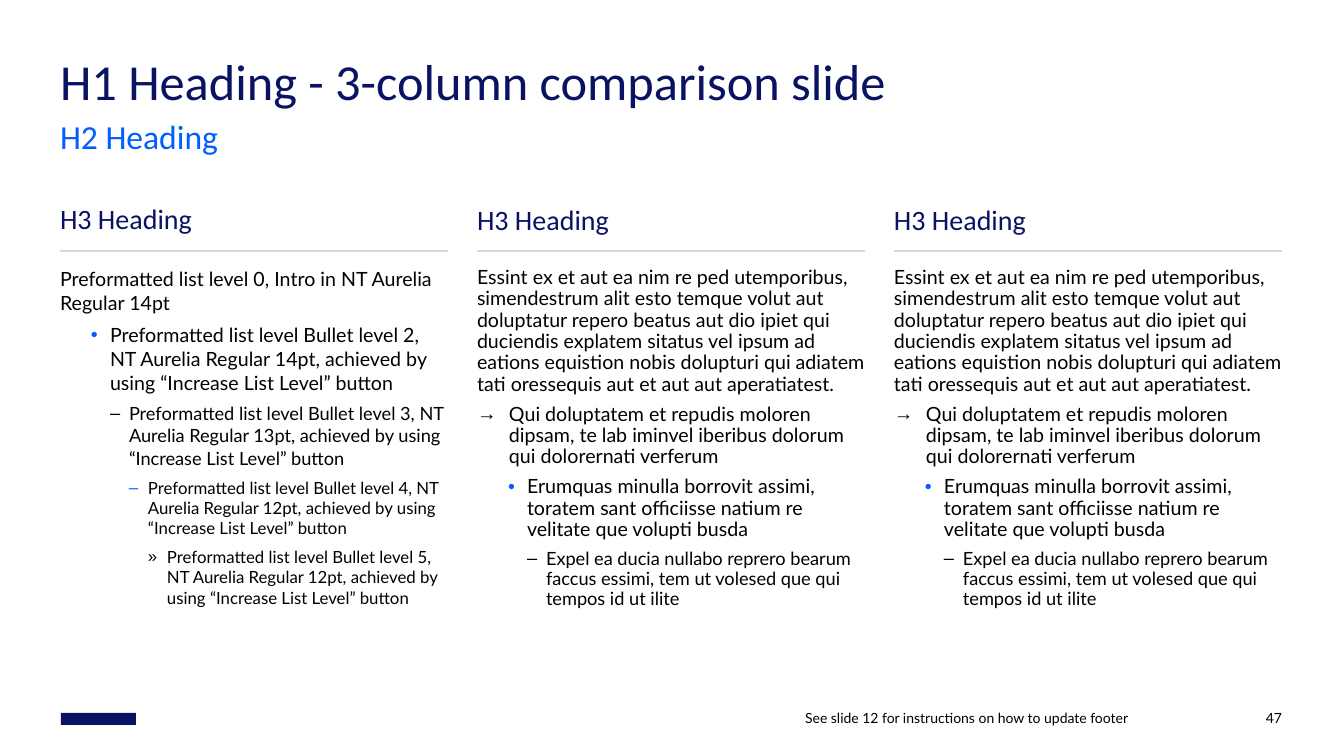
from dataclasses import dataclass

from lxml.etree import SubElement
from pptx import Presentation
from pptx.dml.color import RGBColor
from pptx.enum.shapes import MSO_CONNECTOR, MSO_SHAPE
from pptx.enum.text import MSO_ANCHOR, MSO_AUTO_SIZE, PP_ALIGN
from pptx.oxml.ns import qn
from pptx.util import Emu, Pt


@dataclass(frozen=True)
class Theme:
    navy: RGBColor = RGBColor(0x0A, 0x12, 0x64)
    blue: RGBColor = RGBColor(0x00, 0x5E, 0xFF)
    black: RGBColor = RGBColor(0, 0, 0)
    rule: RGBColor = RGBColor(0xD7, 0xD8, 0xD7)
    heading_font: str = "Calibri"
    body_font: str = "Lato"
    h1: int = 36
    h2: int = 24
    h3: int = 20
    footer: int = 10
    list_sizes: tuple = (14, 14, 14, 13, 12, 12)


THEME = Theme()
EMU_PER_PX = 914400 / 100.8
SLIDE_SIZE = (1344, 756)

# Column grid
MARGIN, COLUMN_WIDTH, COLUMN_PITCH = 60, 388, 417
CONTENT_WIDTH = 2 * COLUMN_PITCH + COLUMN_WIDTH
H3_TOP, RULE_TOP, LIST_TOP = 204, 251, 267

# Per list level: text indent and hanging width in px, bullet, bullet colour
LEVELS = {
    1: (32, 32, "→", None),
    2: (50, 19, "•", THEME.blue),
    3: (69, 19, "–", None),
    4: (88, 19, "–", THEME.blue),
    5: (107, 19, "»", None),
}

LEVEL_GUIDE = [(0, "Preformatted list level 0, Intro in NT Aurelia Regular 14pt")] + [
    (level, f"Preformatted list level Bullet level {level}, NT Aurelia Regular "
            f"{THEME.list_sizes[level]}pt, achieved by using “Increase List Level” button")
    for level in range(2, 6)
]
SAMPLE_TEXT = [
    (0, "Essint ex et aut ea nim re ped utemporibus, simendestrum alit esto temque "
        "volut aut doluptatur repero beatus aut dio ipiet qui duciendis explatem "
        "sitatus vel ipsum ad eations equistion nobis dolupturi qui adiatem tati "
        "oressequis aut et aut aut aperatiatest."),
    (1, "Qui doluptatem et repudis moloren dipsam, te lab iminvel iberibus dolorum "
        "qui dolorernati verferum"),
    (2, "Erumquas minulla borrovit assimi, toratem sant officiisse natium re velitate "
        "que volupti busda"),
    (3, "Expel ea ducia nullabo reprero bearum faccus essimi, tem ut volesed que qui "
        "tempos id ut ilite"),
]

# Heading line spacing, list line spacing, list
COLUMNS = [(0.91, 1.01, LEVEL_GUIDE), (1.01, 0.91, SAMPLE_TEXT), (1.01, 0.91, SAMPLE_TEXT)]


def px(length):
    return Emu(round(length * EMU_PER_PX))


def apply(target, values):
    for name, value in values.items():
        setattr(target, name, value)


def place(box, left, top, width, height, anchor=MSO_ANCHOR.TOP):
    """Position a text shape and return its frame without insets."""
    apply(box, {"left": px(left), "top": px(top), "width": px(width), "height": px(height)})
    frame = box.text_frame
    apply(frame, {
        "margin_left": 0, "margin_top": 0, "margin_right": 0, "margin_bottom": 0,
        "word_wrap": True, "auto_size": MSO_AUTO_SIZE.NONE, "vertical_anchor": anchor,
    })
    return frame


def set_bullet(paragraph, level):
    properties = paragraph._p.get_or_add_pPr()
    indent, hanging, mark, color = LEVELS.get(level, (0, 0, None, None))
    properties.set("marL", str(px(indent)))
    properties.set("indent", str(-px(hanging)))
    if mark is None:
        SubElement(properties, qn("a:buNone"))
        return
    if color is not None:
        SubElement(SubElement(properties, qn("a:buClr")), qn("a:srgbClr"), val=str(color))
    SubElement(properties, qn("a:buFont"), typeface="Arial")
    SubElement(properties, qn("a:buChar"), char=mark)


def write(paragraph, text, size, font, color, spacing=1.0, after=0,
          align=PP_ALIGN.LEFT, level=0):
    set_bullet(paragraph, level)
    apply(paragraph, {
        "level": level, "alignment": align, "line_spacing": spacing,
        "space_before": Pt(0), "space_after": Pt(after),
    })
    run = paragraph.add_run()
    run.text = text
    apply(run.font, {"size": Pt(size), "name": font, "bold": False})
    run.font.color.rgb = color


def add_heading(box, bounds, text, size, color, **options):
    anchor = options.pop("anchor", MSO_ANCHOR.TOP)
    frame = place(box, *bounds, anchor)
    write(frame.paragraphs[0], text, size, THEME.heading_font, color, **options)


def add_list(box, left, spacing, entries):
    frame = place(box, left, LIST_TOP, COLUMN_WIDTH, 379)
    for index, (level, text) in enumerate(entries):
        paragraph = frame.add_paragraph() if index else frame.paragraphs[0]
        write(paragraph, text, THEME.list_sizes[level], THEME.body_font, THEME.black,
              spacing=spacing, after=6, level=level)


def add_text_box(slide):
    return slide.shapes.add_textbox(0, 0, 0, 0)


def add_rule(slide, left):
    rule = slide.shapes.add_connector(
        MSO_CONNECTOR.STRAIGHT, px(left), px(RULE_TOP), px(left + COLUMN_WIDTH), px(RULE_TOP))
    rule.line.color.rgb = THEME.rule
    rule.line.width = Pt(1)
    SubElement(rule._element.spPr, qn("a:effectLst"))


def add_footer(slide, left, width, text):
    frame = place(add_text_box(slide), left, 696, width, 30, MSO_ANCHOR.BOTTOM)
    write(frame.paragraphs[0], text, THEME.footer, THEME.body_font, THEME.black,
          align=PP_ALIGN.RIGHT)


def add_brand_block(slide):
    block = slide.shapes.add_shape(MSO_SHAPE.RECTANGLE, px(61), px(713), px(75), px(12))
    block.shadow.inherit = False
    block.fill.solid()
    block.fill.fore_color.rgb = THEME.navy
    block.line.fill.background()


def main():
    deck = Presentation()
    deck.slide_width, deck.slide_height = map(px, SLIDE_SIZE)
    slide = deck.slides.add_slide(deck.slide_layouts.get_by_name("Comparison"))
    title, subtitle, *lists = list(slide.placeholders)[:5]

    # Slide headings
    add_heading(title, (MARGIN, 60, CONTENT_WIDTH, 48), "H1 Heading - 3-column comparison slide",
                THEME.h1, THEME.navy, spacing=Pt(36))
    add_heading(subtitle, (MARGIN, 124, CONTENT_WIDTH, 32), "H2 Heading",
                THEME.h2, THEME.blue, spacing=0.8)

    # Three columns
    for index, (heading_spacing, list_spacing, entries) in enumerate(COLUMNS):
        left = MARGIN + index * COLUMN_PITCH
        add_heading(add_text_box(slide), (left, H3_TOP, COLUMN_WIDTH, 32), "H3 Heading",
                    THEME.h3, THEME.navy, spacing=heading_spacing, after=6,
                    anchor=MSO_ANCHOR.BOTTOM)
        add_rule(slide, left)
        add_list(lists[index], left, list_spacing, entries)

    # Footer
    add_brand_block(slide)
    add_footer(slide, 527, 601, "See slide 12 for instructions on how to update footer")
    add_footer(slide, 1149, 133, "47")

    deck.save("out.pptx")


if __name__ == "__main__":
    main()
